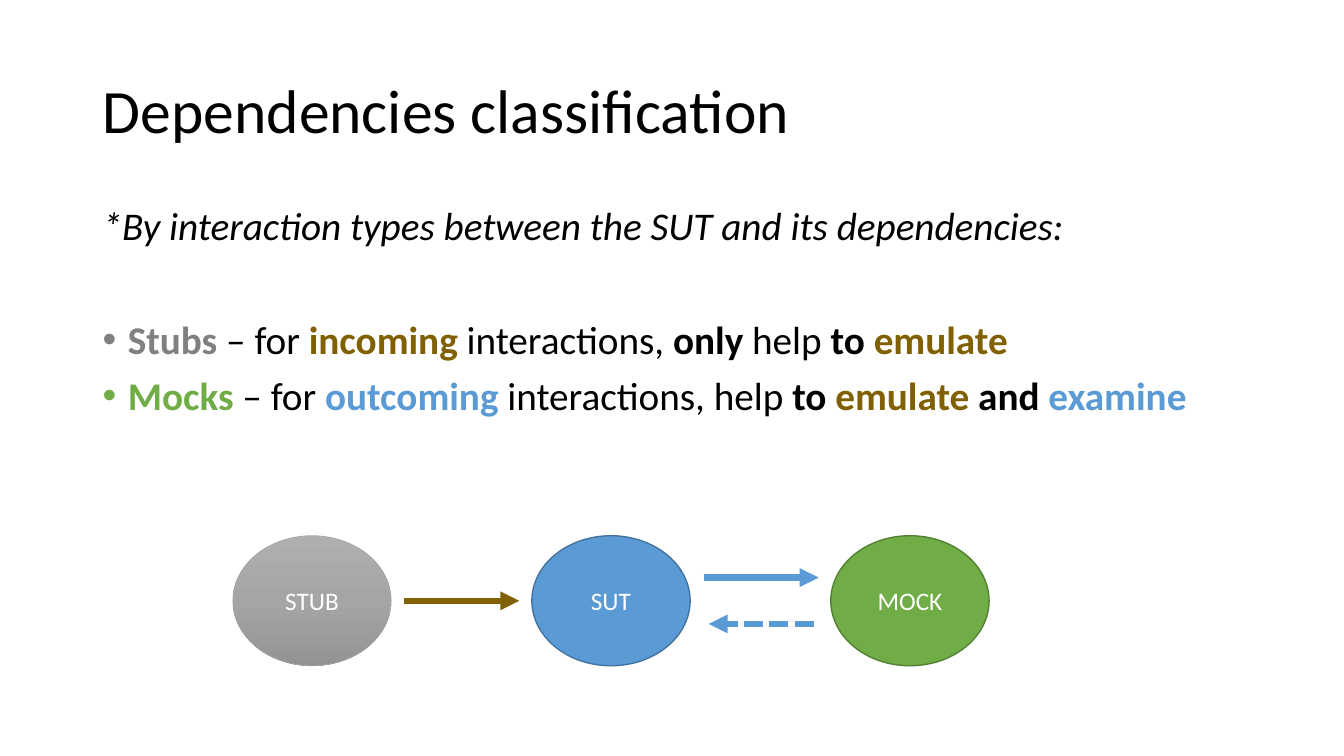
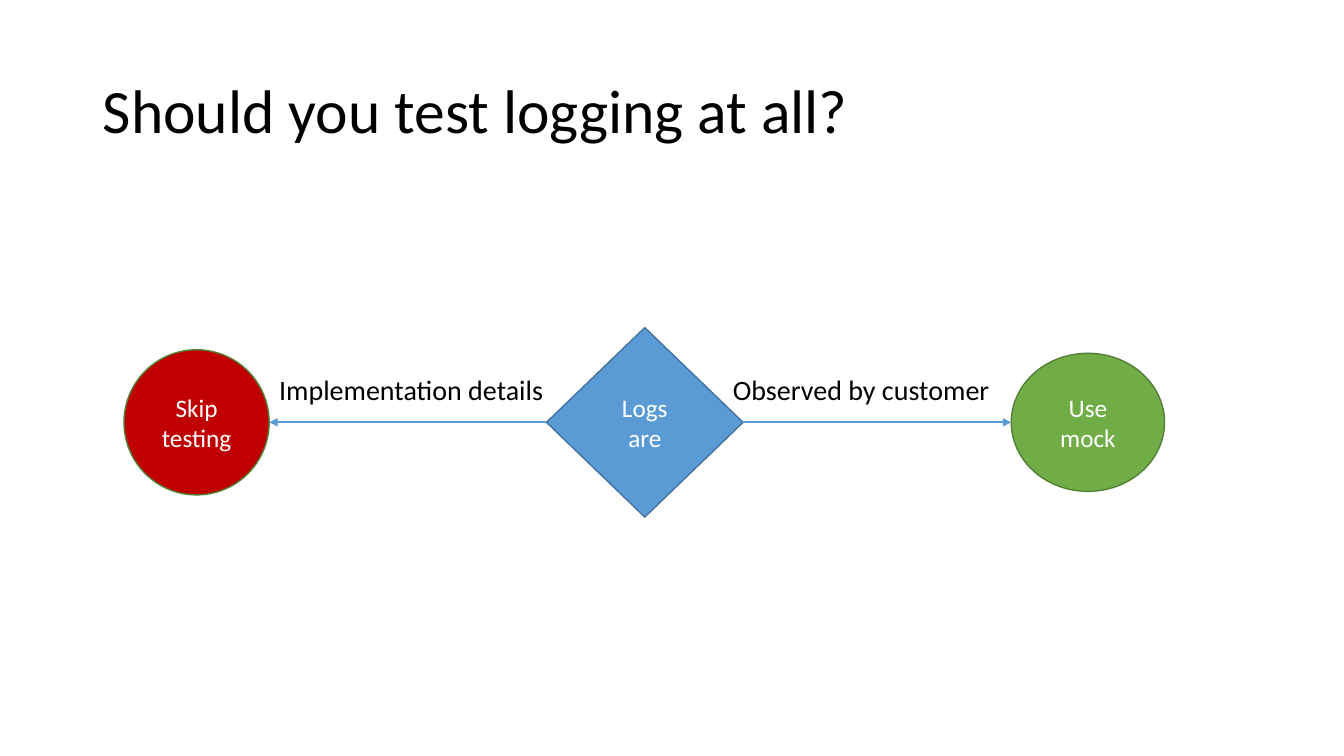
"""Two slides on classifying test dependencies and on testing logs."""
from lxml.etree import SubElement
from pptx import Presentation
from pptx.dml.color import RGBColor
from pptx.enum.dml import MSO_LINE
from pptx.enum.shapes import MSO_CONNECTOR, MSO_SHAPE
from pptx.enum.text import MSO_ANCHOR, PP_ALIGN
from pptx.oxml.ns import qn
from pptx.util import Inches, Pt

FONT = "Calibri"
BLACK, WHITE = "000000", "FFFFFF"
GRAY, BROWN, BLUE, GREEN, RED = "808080", "806000", "5B9BD5", "70AD47", "C00000"
BLUE_EDGE, GREEN_EDGE, GRAY_EDGE = "43739E", "538035", "A5A5A5"
GRAY_GRADIENT = [(0, "AFAFAF"), (50, "A5A5A5"), (100, "939393")]

TITLE_BOX = (0.92, 0.4, 11.5, 1.45)
BODY_BOX = (0.92, 2, 11.5, 4.76)

INTRO = "*By interaction types between the SUT and its dependencies:"
BULLETS = [
    [("Stubs", GRAY, True), (" – for ", BLACK, False), ("incoming", BROWN, True),
     (" interactions, ", BLACK, False), ("only", BLACK, True), (" help ", BLACK, False),
     ("to ", BLACK, True), ("emulate", BROWN, True)],
    [("Mocks", GREEN, True), (" – for ", BLACK, False), ("outcoming ", BLUE, True),
     ("interactions, help ", BLACK, False), ("to ", BLACK, True), ("emulate", BROWN, True),
     (" and ", BLACK, True), ("examine", BLUE, True)],
]
ACTORS = [
    ("STUB", GRAY_GRADIENT, GRAY_EDGE, 0.5),
    ("SUT", BLUE, BLUE_EDGE, 1),
    ("MOCK", GREEN, GREEN_EDGE, 1),
]
ACTOR_LEFT, ACTOR_PITCH, ACTOR_WIDTH, ACTOR_HEIGHT, ACTOR_MIDDLE = 2.31, 2.965, 1.57, 1.29, 5.96
ARROW_OFFSET = 0.23

LOGS_MIDDLE = 4.19
LOGS = {
    "skip": ("Skip testing", MSO_SHAPE.OVAL, 1.23, 1.44, 1.44, RED, GREEN_EDGE),
    "logs": ("Logs are", MSO_SHAPE.DIAMOND, 5.42, 1.95, 1.88, BLUE, BLUE_EDGE),
    "mock": ("Use mock", MSO_SHAPE.OVAL, 10.03, 1.52, 1.37, GREEN, GREEN_EDGE),
}
LABELS = [("Implementation details", 2.67, 2.85), ("Observed by customer", 7.17, 2.77)]


def color(hex_code):
    """Turn a hex string into a colour."""
    return RGBColor.from_string(hex_code)


def box(left, top, width, height):
    """Turn inches into a position and size."""
    return [Inches(value) for value in (left, top, width, height)]


def add_text(paragraph, text, size=18, fill=BLACK, bold=False, italic=False):
    """Append one formatted run to a paragraph."""
    run = paragraph.add_run()
    run.text = text
    font = run.font
    font.name, font.size, font.bold, font.italic = FONT, Pt(size), bold, italic
    font.color.rgb = color(fill)


def add_titled_slide(presentation, title):
    """Add a title-only slide with the shared title style."""
    slide = presentation.slides.add_slide(presentation.slide_layouts[5])
    shape = slide.shapes.title
    shape.left, shape.top, shape.width, shape.height = box(*TITLE_BOX)
    shape.text_frame.vertical_anchor = MSO_ANCHOR.MIDDLE
    paragraph = shape.text_frame.paragraphs[0]
    paragraph.alignment, paragraph.line_spacing = PP_ALIGN.LEFT, 0.9
    add_text(paragraph, title, size=44)
    return slide


def fill_gradient(shape, stops):
    """Fill a shape from top to bottom with the given colour stops."""
    shape.fill.gradient()
    shape.fill.gradient_angle = 270
    stop_list = shape.fill._xPr.find(".//" + qn("a:gsLst"))
    for stop in list(stop_list):
        stop_list.remove(stop)
    for percent, hex_code in stops:
        stop = SubElement(stop_list, qn("a:gs"), pos=str(percent * 1000))
        SubElement(stop, qn("a:srgbClr"), val=hex_code)


def add_node(slide, kind, text, left, middle, width, height, fill, edge, edge_width=1):
    """Add a captioned shape centred on a horizontal axis."""
    shape = slide.shapes.add_shape(kind, *box(left, middle - height / 2, width, height))
    shape.shadow.inherit = False
    if isinstance(fill, str):
        shape.fill.solid()
        shape.fill.fore_color.rgb = color(fill)
    else:
        fill_gradient(shape, fill)
    shape.line.color.rgb = color(edge)
    shape.line.width = Pt(edge_width)
    shape.text_frame.word_wrap = True
    shape.text_frame.vertical_anchor = MSO_ANCHOR.MIDDLE
    paragraph = shape.text_frame.paragraphs[0]
    paragraph.alignment = PP_ALIGN.CENTER
    add_text(paragraph, text, fill=WHITE)


def add_arrow(slide, start, end, height, fill, width, dashed=False):
    """Add a horizontal arrow."""
    arrow = slide.shapes.add_connector(
        MSO_CONNECTOR.STRAIGHT, Inches(start), Inches(height), Inches(end), Inches(height))
    arrow.line.color.rgb = color(fill)
    arrow.line.width = Pt(width)
    if dashed:
        arrow.line.dash_style = MSO_LINE.SQUARE_DOT
    SubElement(arrow.line._get_or_add_ln(), qn("a:tailEnd"), type="triangle")
    SubElement(arrow._element.spPr, qn("a:effectLst"))


def add_bullet(paragraph):
    """Give a paragraph a hanging bullet."""
    properties = paragraph._p.get_or_add_pPr()
    properties.set("marL", str(Inches(0.25)))
    properties.set("indent", str(-Inches(0.25)))
    SubElement(properties, qn("a:buFont"), typeface="Arial")
    SubElement(properties, qn("a:buChar"), char="•")


def build_classification(presentation):
    """Build the slide that tells stubs from mocks."""
    slide = add_titled_slide(presentation, "Dependencies classification")
    frame = slide.shapes.add_textbox(*box(*BODY_BOX)).text_frame
    frame.word_wrap = True
    intro = frame.paragraphs[0]
    intro.line_spacing, intro.space_before = 0.9, Pt(10)
    add_text(intro, INTRO, size=28, italic=True)
    for runs, space in zip(BULLETS, (51, 10)):
        paragraph = frame.add_paragraph()
        paragraph.line_spacing, paragraph.space_before = 0.9, Pt(space)
        add_bullet(paragraph)
        for text, fill, bold in runs:
            add_text(paragraph, text, size=28, fill=fill, bold=bold)

    for index, (text, fill, edge, edge_width) in enumerate(ACTORS):
        add_node(slide, MSO_SHAPE.OVAL, text, ACTOR_LEFT + index * ACTOR_PITCH, ACTOR_MIDDLE,
                 ACTOR_WIDTH, ACTOR_HEIGHT, fill, edge, edge_width)
    add_arrow(slide, 4.01, 5.15, ACTOR_MIDDLE, BROWN, 4.5)
    add_arrow(slide, 6.98, 8.12, ACTOR_MIDDLE - ARROW_OFFSET, BLUE, 4.5)
    add_arrow(slide, 8.07, 7.03, ACTOR_MIDDLE + ARROW_OFFSET, BLUE, 4.5, dashed=True)


def build_logging(presentation):
    """Build the slide that decides whether logs need tests."""
    slide = add_titled_slide(presentation, "Should you test logging at all?")
    for text, kind, left, width, height, fill, edge in LOGS.values():
        add_node(slide, kind, text, left, LOGS_MIDDLE, width, height, fill, edge)
    edges = {name: (node[2], node[2] + node[3]) for name, node in LOGS.items()}
    add_arrow(slide, edges["logs"][1], edges["mock"][0], LOGS_MIDDLE, BLUE, 1.5)
    add_arrow(slide, edges["logs"][0], edges["skip"][1], LOGS_MIDDLE, BLUE, 1.5)
    for text, left, width in LABELS:
        label = slide.shapes.add_textbox(*box(left, 3.65, width, 0.44))
        label.text_frame.word_wrap = False
        add_text(label.text_frame.paragraphs[0], text, size=20)


def main():
    """Build and save the presentation."""
    presentation = Presentation()
    presentation.slide_width, presentation.slide_height = Inches(13.33), Inches(7.5)
    build_classification(presentation)
    build_logging(presentation)
    presentation.save("out.pptx")


if __name__ == "__main__":
    main()
